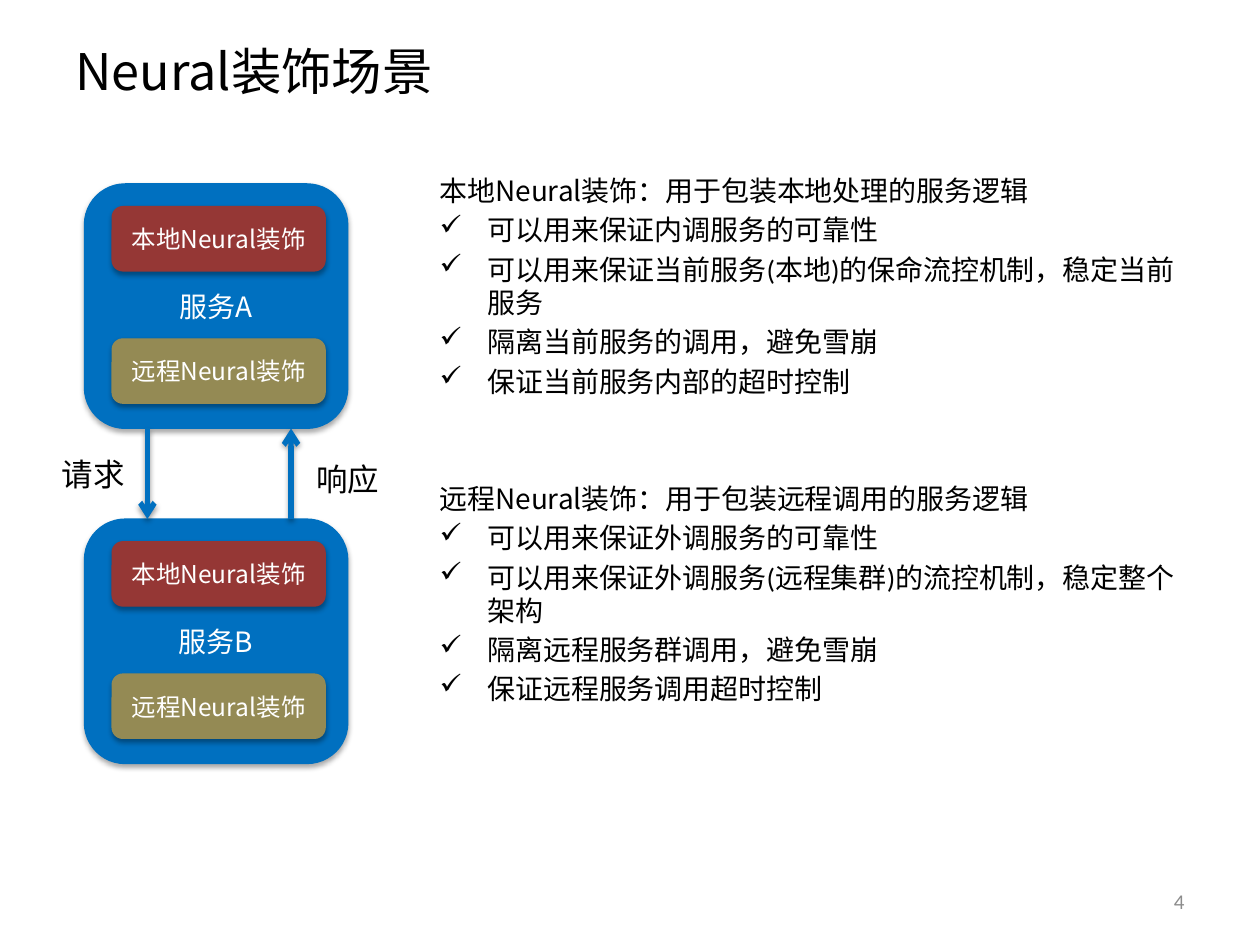
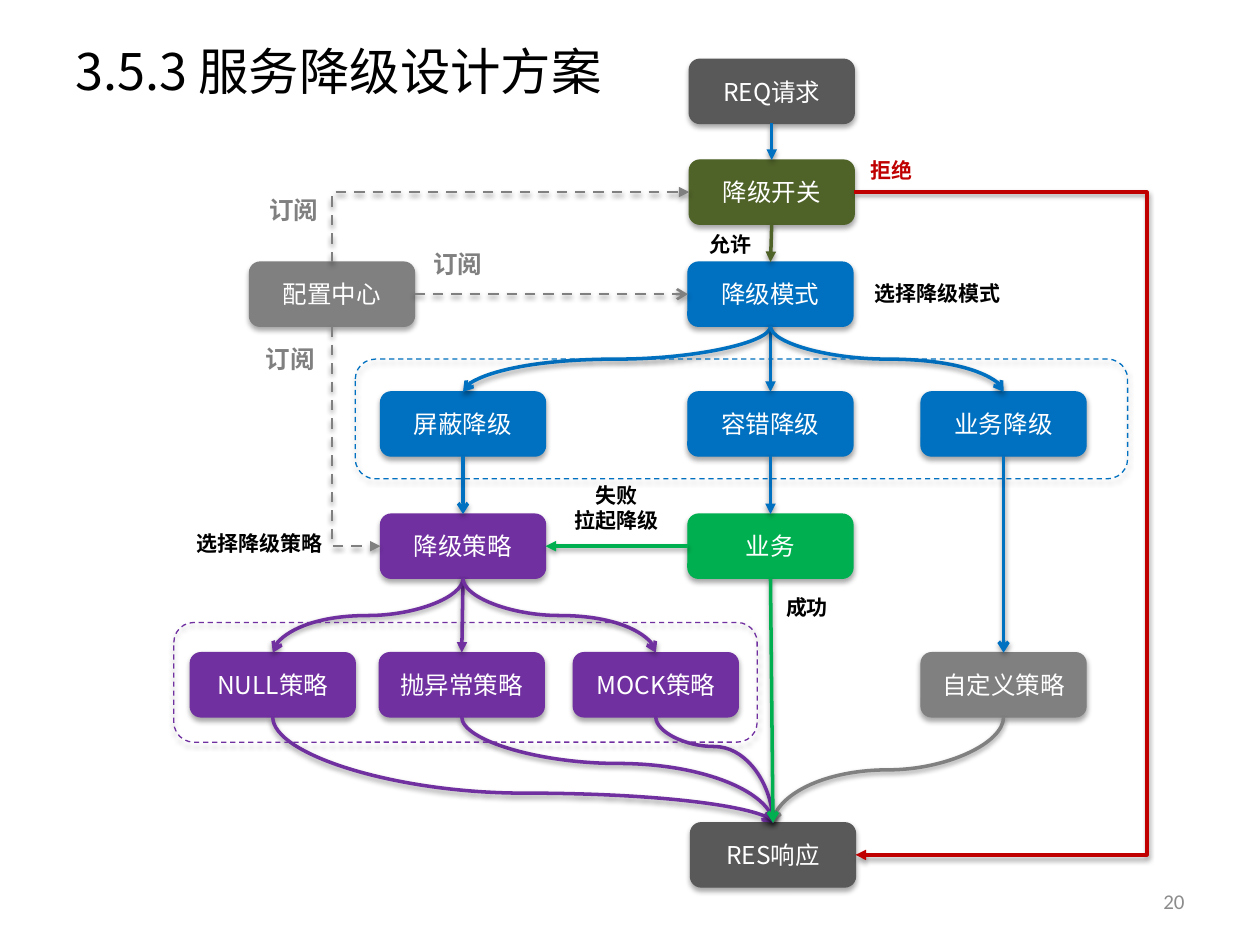
"""Build two slides on service decoration and service degradation."""
import pptx
import pptx.dml.color
import pptx.enum.dml
import pptx.enum.shapes
import pptx.enum.text
import pptx.oxml
import pptx.oxml.ns
import pptx.util

Inches, Pt = pptx.util.Inches, pptx.util.Pt
ALIGN = pptx.enum.text.PP_ALIGN
MIDDLE = pptx.enum.text.MSO_ANCHOR.MIDDLE
LINK = pptx.enum.shapes.MSO_CONNECTOR
ROUND = pptx.enum.shapes.MSO_SHAPE.ROUNDED_RECTANGLE
DASH = pptx.enum.dml.MSO_LINE.DASH
qn = pptx.oxml.ns.qn

NOTO, LATIN = "Noto Sans CJK SC", "Calibri"
BLUE, RED, TAN, GREY = "0070C0", "953735", "948A54", "808080"
DARK, OLIVE, GREEN, PURPLE = "595959", "4F6228", "00B050", "7030A0"
ALERT, BLACK, WHITE, PALE = "C00000", "000000", "FFFFFF", "8C8C8C"
TOP, LEFT, BOTTOM, RIGHT = range(4)

HOSTS = [("服务A", 1.46), ("服务B", 4.12)]
PARTS = [("本地Neural装饰", 0.18, RED), ("远程Neural装饰", 1.23, TAN)]
CALLS = [("请求", 0.39, 3.56, 0.71), ("响应", 2.41, 3.6, 0.71)]
ARROWS = [(1.17, 3.4, 4.12), (2.31, 4.12, 3.4)]
NOTES = [
    ("本地Neural装饰：用于包装本地处理的服务逻辑", [
        "可以用来保证内调服务的可靠性",
        "可以用来保证当前服务(本地)的保命流控机制，稳定当前服务",
        "隔离当前服务的调用，避免雪崩",
        "保证当前服务内部的超时控制"]),
    ("远程Neural装饰：用于包装远程调用的服务逻辑", [
        "可以用来保证外调服务的可靠性",
        "可以用来保证外调服务(远程集群)的流控机制，稳定整个架构",
        "隔离远程服务群调用，避免雪崩",
        "保证远程服务调用超时控制"]),
]

NODES = {
    "req": ("REQ请求", 5.47, 0.47, DARK),
    "switch": ("降级开关", 5.47, 1.27, OLIVE),
    "mode": ("降级模式", 5.46, 2.08, BLUE),
    "config": ("配置中心", 1.98, 2.08, GREY),
    "mask": ("屏蔽降级", 3.02, 3.11, BLUE),
    "fault": ("容错降级", 5.46, 3.11, BLUE),
    "biz": ("业务降级", 7.31, 3.11, BLUE),
    "plan": ("降级策略", 3.02, 4.08, PURPLE),
    "work": ("业务", 5.46, 4.08, GREEN),
    "null": ("NULL策略", 1.51, 5.18, PURPLE),
    "throw": ("抛异常策略", 3.01, 5.18, PURPLE),
    "mock": ("MOCK策略", 4.55, 5.18, PURPLE),
    "custom": ("自定义策略", 7.31, 5.18, GREY),
    "res": ("RES响应", 5.48, 6.53, DARK),
}
DIRECT = [
    ("req", BOTTOM, "switch", TOP, BLUE, "triangle"),
    ("switch", BOTTOM, "mode", TOP, OLIVE, "triangle"),
    ("mode", BOTTOM, "fault", TOP, BLUE, "triangle"),
    ("mask", BOTTOM, "plan", TOP, BLUE, "arrow"),
    ("fault", BOTTOM, "work", TOP, BLUE, "triangle"),
    ("work", LEFT, "plan", RIGHT, GREEN, "triangle"),
    ("plan", BOTTOM, "throw", TOP, PURPLE, "triangle"),
    ("biz", BOTTOM, "custom", TOP, BLUE, "arrow"),
    ("config", RIGHT, "mode", LEFT, GREY, "arrow"),
]
CURVES = [
    ("mode", "mask", BLUE, 0.5),
    ("mode", "biz", BLUE, 0.5),
    ("plan", "null", PURPLE, 0.5),
    ("plan", "mock", PURPLE, 0.5),
    ("null", "res", PURPLE, 0.72),
    ("mock", "res", PURPLE, 0.28),
    ("throw", "res", PURPLE, 0.44),
    ("custom", "res", GREY, 0.5),
]
BENDS = [("config", TOP, "switch"), ("config", BOTTOM, "plan")]
REJECT = 9.14
FRAMES = [(2.82, 2.85, 6.13, 0.95, BLUE), (1.38, 4.94, 4.63, 0.95, PURPLE)]
LABELS = [
    ("允许", 5.53, 1.79, 0.54, 12, BLACK),
    ("拒绝", 6.81, 1.2, 0.54, 12, ALERT),
    ("订阅", 2.01, 2.68, 0.59, 14, GREY),
    ("订阅", 2.04, 1.5, 0.59, 14, GREY),
    ("订阅", 3.34, 1.93, 0.59, 14, GREY),
    ("选择降级模式", 6.84, 2.18, 1.21, 12, BLACK),
    ("选择降级策略", 1.46, 4.16, 1.21, 12, BLACK),
    ("成功", 6.14, 4.67, 0.54, 12, BLACK),
    ("失败\n拉起降级", 4.45, 3.78, 0.88, 12, BLACK),
]


def paint(hue):
    return pptx.dml.color.RGBColor.from_string(hue)


def node(tag, **attrs):
    item = pptx.oxml.parse_xml(f'<a:{tag} xmlns:a="{pptx.oxml.ns.nsuri("a")}"/>')
    for key, value in attrs.items():
        item.set(key, str(value))
    return item


def shade(shape, alpha, dist):
    props = shape._element.spPr
    effects = props.find(qn("a:effectLst"))
    if effects is None:
        effects = node("effectLst")
        props.append(effects)
    cast = node("outerShdw", blurRad=Pt(3.1), dist=Pt(dist), dir=5400000, rotWithShape=0)
    tint = node("srgbClr", val=BLACK)
    tint.append(node("alpha", val=alpha * 1000))
    cast.append(tint)
    effects.append(cast)


def style(para, size, hue, face=NOTO, bold=False, align=ALIGN.LEFT):
    para.alignment = align
    para.line_spacing = Pt(round(size * 1.2, 1))
    for run in para.runs:
        font = run.font
        font.size, font.bold, font.name = Pt(size), bold, face
        font.color.rgb = paint(hue)
        run._r.get_or_add_rPr().find(qn("a:latin")).addnext(node("ea", typeface=NOTO))


def write(slide, text, left, top, width, height, size, hue, wrap=False, anchor=None, **look):
    box = slide.shapes.add_textbox(*map(Inches, (left, top, width, height)))
    frame = box.text_frame
    frame.word_wrap = wrap
    frame.vertical_anchor = anchor
    frame.text = text
    for para in frame.paragraphs:
        style(para, size, hue, **look)
    return frame


def block(slide, text, left, top, width, height, fill, size=14, edge=None):
    box = slide.shapes.add_shape(ROUND, *map(Inches, (left, top, width, height)))
    box.shadow.inherit = False
    if fill:
        box.fill.solid()
        box.fill.fore_color.rgb = paint(fill)
    else:
        box.fill.background()
        box.line.dash_style = DASH
    box.line.color.rgb = paint(fill or edge)
    box.line.width = Pt(0.75)
    shade(box, 35, 1.8)
    if text:
        box.text_frame.text = text
        box.text_frame.vertical_anchor = MIDDLE
        style(box.text_frame.paragraphs[0], size, WHITE, align=ALIGN.CENTER)
    return box


def draw(slide, kind, hue, head, ends=(0, 0, 0, 0), width=2, dash=False):
    line = slide.shapes.add_connector(kind, *map(Inches, ends))
    line.line.color.rgb = paint(hue)
    line.line.width = Pt(width)
    if dash:
        line.line.dash_style = DASH
    line.line._get_or_add_ln().append(node("tailEnd", type=head))
    shade(line, 38, 1.6)
    return line


def join(line, start, out, end, into):
    line.begin_connect(start, out)
    line.end_connect(end, into)


def adjust(line, share):
    guides = line._element.spPr.find(qn("a:prstGeom")).find(qn("a:avLst"))
    guides.append(node("gd", name="adj1", fmla=f"val {round(share * 100000)}"))


def turn(line):
    x1, y1, x2, y2 = line.begin_x, line.begin_y, line.end_x, line.end_y
    wide, high = abs(x2 - x1), abs(y2 - y1)
    line.left, line.top = (x1 + x2 - high) // 2, (y1 + y2 - wide) // 2
    line.width, line.height = high, wide
    right, up = x2 > x1, y2 < y1
    form = line._element.spPr.find(qn("a:xfrm"))
    form.set("rot", str((270 if right and not up else 90) * 60000))
    form.set("flipH", str(int(right)))
    form.set("flipV", str(int(up)))


def start(deck, title, number):
    slide = deck.slides.add_slide(deck.slide_layouts[6])
    write(slide, title, 0.5, 0.3, 9, 0.51, 28.8, BLACK, wrap=True, anchor=MIDDLE)
    write(slide, number, 7.17, 6.95, 2.33, 0.4, 12, PALE, wrap=True, anchor=MIDDLE,
          face=LATIN, align=ALIGN.RIGHT)
    return slide


def scene(deck):
    slide = start(deck, "Neural装饰场景", "4")
    for name, top in HOSTS:
        block(slide, name, 0.67, top, 2.09, 1.94, BLUE, 16)
        for text, drop, hue in PARTS:
            block(slide, text, 0.89, top + drop, 1.69, 0.51, hue)
    for x, y1, y2 in ARROWS:
        draw(slide, LINK.STRAIGHT, BLUE, "arrow", (x, y1, x, y2), width=3)
    for text, left, top, width in CALLS:
        write(slide, text, left, top, width, 0.4, 18, BLACK, face=LATIN)
    rows = [(text, bool(rank)) for head, items in NOTES
            for rank, text in enumerate([head, *items])]
    frame = write(slide, "\n".join(text for text, _ in rows), 3.39, 1.33, 6.11, 4.95,
                  16, BLACK, wrap=True)
    for rank, (para, (_, listed)) in enumerate(zip(frame.paragraphs, rows)):
        if rank:
            para.space_before = Pt(3.2 if listed else 48)
        if listed:
            props = para._p.get_or_add_pPr()
            props.set("marL", str(Inches(0.38)))
            props.set("indent", str(-Inches(0.38)))
            props.append(node("buChar", char="✓"))
            for run in para.runs:
                run.font.name = LATIN


def flow(deck):
    slide = start(deck, "3.5.3 服务降级设计方案", "20")
    boxes = {key: block(slide, text, left, top, 1.31, 0.51, hue)
             for key, (text, left, top, hue) in NODES.items()}
    for a, out, b, into, hue, head in DIRECT:
        faint = a == "config"
        line = draw(slide, LINK.STRAIGHT, hue, head, width=1.5 if faint else 2, dash=faint)
        join(line, boxes[a], out, boxes[b], into)
    for a, b, hue, share in CURVES:
        line = draw(slide, LINK.CURVE, hue, "arrow")
        join(line, boxes[a], BOTTOM, boxes[b], TOP)
        turn(line)
        adjust(line, share)
    for a, out, b in BENDS:
        line = draw(slide, LINK.ELBOW, GREY, "triangle", width=1.5, dash=True)
        line._element.spPr.find(qn("a:prstGeom")).set("prst", "bentConnector2")
        join(line, boxes[a], out, boxes[b], LEFT)
        turn(line)
    line = draw(slide, LINK.ELBOW, ALERT, "triangle")
    join(line, boxes["switch"], RIGHT, boxes["res"], RIGHT)
    adjust(line, (Inches(REJECT) - line.begin_x) / line.width)
    line = draw(slide, LINK.STRAIGHT, GREEN, "arrow")
    join(line, boxes["work"], BOTTOM, boxes["res"], TOP)
    for text, left, top, width, size, hue in LABELS:
        rows = text.count("\n") + 1
        write(slide, text, left, top, width, 0.1 + rows * size / 60, size, hue, bold=True,
              align=ALIGN.CENTER if rows > 1 else ALIGN.LEFT)
    for left, top, width, height, hue in FRAMES:
        block(slide, "", left, top, width, height, None, edge=hue)


def main():
    deck = pptx.Presentation()
    deck.slide_width, deck.slide_height = Inches(10), Inches(7.5)
    scene(deck)
    flow(deck)
    deck.save("out.pptx")


if __name__ == "__main__":
    main()
